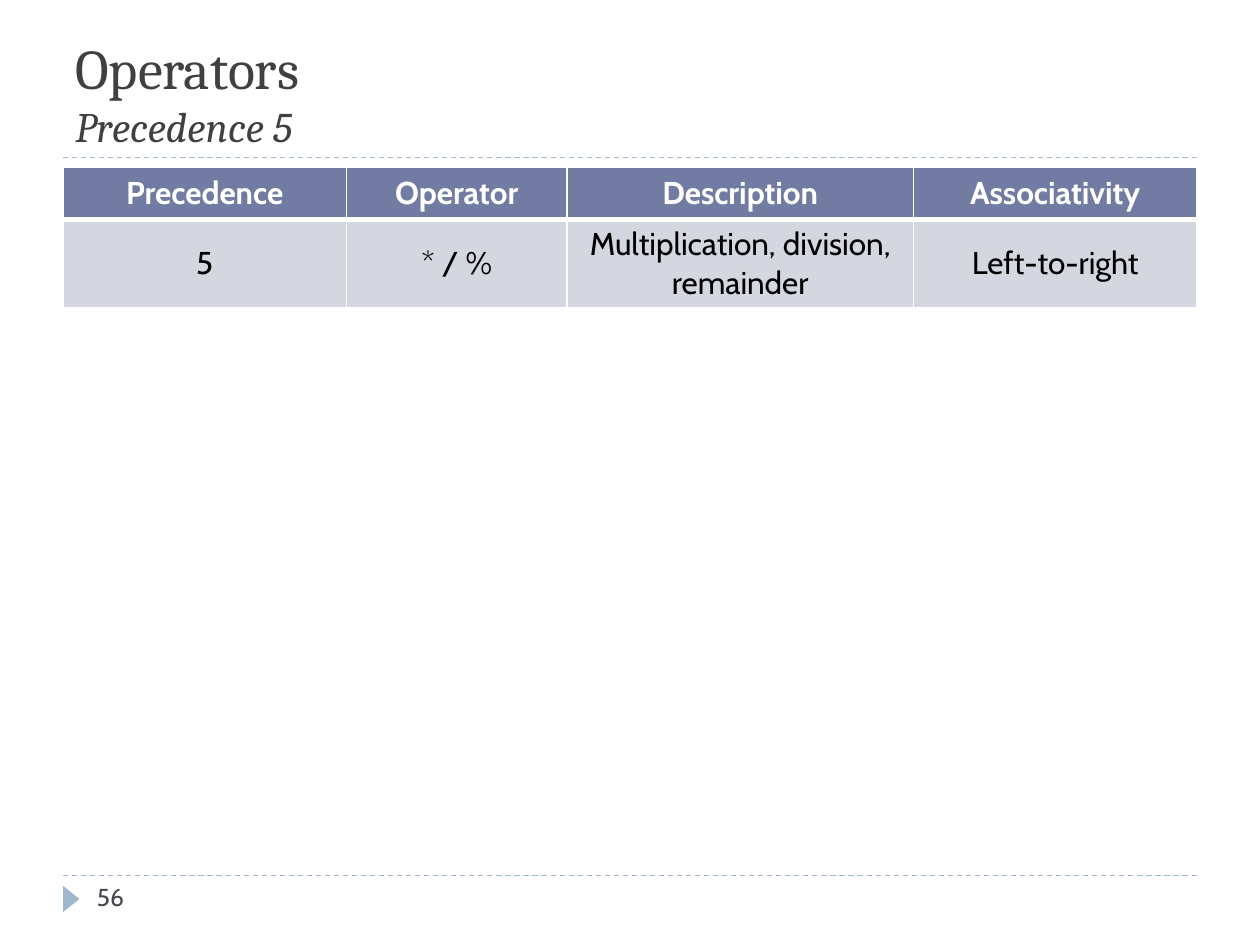
from lxml import etree
from pptx import Presentation
from pptx.dml.color import RGBColor
from pptx.enum.dml import MSO_LINE
from pptx.enum.shapes import MSO_CONNECTOR, MSO_SHAPE
from pptx.enum.text import MSO_ANCHOR, PP_ALIGN
from pptx.oxml.ns import qn
from pptx.util import Inches, Pt

STRAIGHT = MSO_CONNECTOR.STRAIGHT
TRIANGLE = MSO_SHAPE.ISOSCELES_TRIANGLE
DASH = MSO_LINE.DASH
TOP, MIDDLE, BOTTOM = MSO_ANCHOR.TOP, MSO_ANCHOR.MIDDLE, MSO_ANCHOR.BOTTOM
CENTER = PP_ALIGN.CENTER


def rgb(value):
    return RGBColor.from_string(value)


class SlideBuilder:
    heading_font = "Cambria"
    body_font = "Cabin"
    accent = "9FB8CD"
    header_fill = "727CA3"
    body_fill = "D5D7E0"
    white = "FFFFFF"

    def __init__(self, slide):
        self.slide = slide

    def style(self, font, name, size, color, bold=False):
        font.name, font.size, font.bold = name, Pt(size), bold
        font.color.rgb = rgb(color)

    def rule(self, y, left=0.5, right=9.5):
        line = self.slide.shapes.add_connector(
            STRAIGHT, Inches(left), Inches(y), Inches(right), Inches(y))
        line.line.color.rgb = rgb(self.accent)
        line.line.width = Pt(0.75)
        line.line.dash_style = DASH
        etree.SubElement(line._element.spPr, qn("a:effectLst"))

    def marker(self, left, top, width, height):
        shape = self.slide.shapes.add_shape(
            TRIANGLE, Inches(left), Inches(top), Inches(width), Inches(height))
        shape.rotation = 90
        shape.shadow.inherit = False
        shape.fill.solid()
        shape.fill.fore_color.rgb = rgb(self.accent)
        shape.line.fill.background()

    def text(self, left, top, width, height, content, font, size, color, anchor=TOP):
        box = self.slide.shapes.add_textbox(
            Inches(left), Inches(top), Inches(width), Inches(height))
        box.text_frame.word_wrap = True
        box.text_frame.vertical_anchor = anchor
        paragraph = box.text_frame.paragraphs[0]
        paragraph.text = content
        self.style(paragraph.font, font, size, color)
        return paragraph

    def title(self, heading, subtitle):
        paragraph = self.text(0.5, 0.17, 9, 1.08, heading + "\v" + subtitle,
                              self.heading_font, 32, "404040", BOTTOM)
        subtitle_font = paragraph.runs[1].font
        subtitle_font.size, subtitle_font.italic = Pt(24), True

    def borders(self, cell, bottom):
        properties = cell._tc.get_or_add_tcPr()
        widths = {"a:lnL": 1, "a:lnR": 1, "a:lnT": 1, "a:lnB": bottom}
        # Borders come before the fill in the cell properties
        for index, (tag, width) in enumerate(widths.items()):
            border = etree.Element(qn(tag), w=str(Pt(width)))
            fill = etree.SubElement(border, qn("a:solidFill"))
            etree.SubElement(fill, qn("a:srgbClr"), val=self.white)
            properties.insert(index, border)

    def table(self, left, top, column_widths, row_heights, rows):
        table = self.slide.shapes.add_table(
            len(rows), len(column_widths), Inches(left), Inches(top),
            Inches(sum(column_widths)), Inches(sum(row_heights))).table
        for column, width in zip(table.columns, column_widths):
            column.width = Inches(width)
        for row_index, (row, height, values) in enumerate(
                zip(table.rows, row_heights, rows)):
            row.height = Inches(height)
            header = row_index == 0
            for cell, value in zip(row.cells, values):
                cell.text = value
                cell.vertical_anchor = MIDDLE
                cell.fill.solid()
                cell.fill.fore_color.rgb = rgb(
                    self.header_fill if header else self.body_fill)
                paragraph = cell.text_frame.paragraphs[0]
                paragraph.alignment = CENTER
                self.style(paragraph.font, self.body_font, 18,
                           self.white if header else "000000", header)
                self.borders(cell, 3 if header else 1)


def main():
    presentation = Presentation()
    presentation.slide_width = Inches(10)
    presentation.slide_height = Inches(7.5)
    builder = SlideBuilder(
        presentation.slides.add_slide(presentation.slide_layouts[6]))

    # Frame
    for y in (6.95, 1.25):
        builder.rule(y)
    builder.marker(0.46, 7.07, 0.21, 0.13)

    # Title
    builder.title("Operators", "Precedence 5")

    # Operator table
    builder.table(0.5, 1.33, [2.25, 1.75, 2.75, 2.25], [0.41, 0.7], [
        ["Precedence", "Operator", "Description", "Associativity"],
        ["5", "* / %", "Multiplication, division, remainder", "Left-to-right"],
    ])

    # Slide number
    builder.text(0.67, 6.95, 2.17, 0.4, "56", builder.body_font, 14, "464653")

    presentation.save("out.pptx")


if __name__ == "__main__":
    main()
